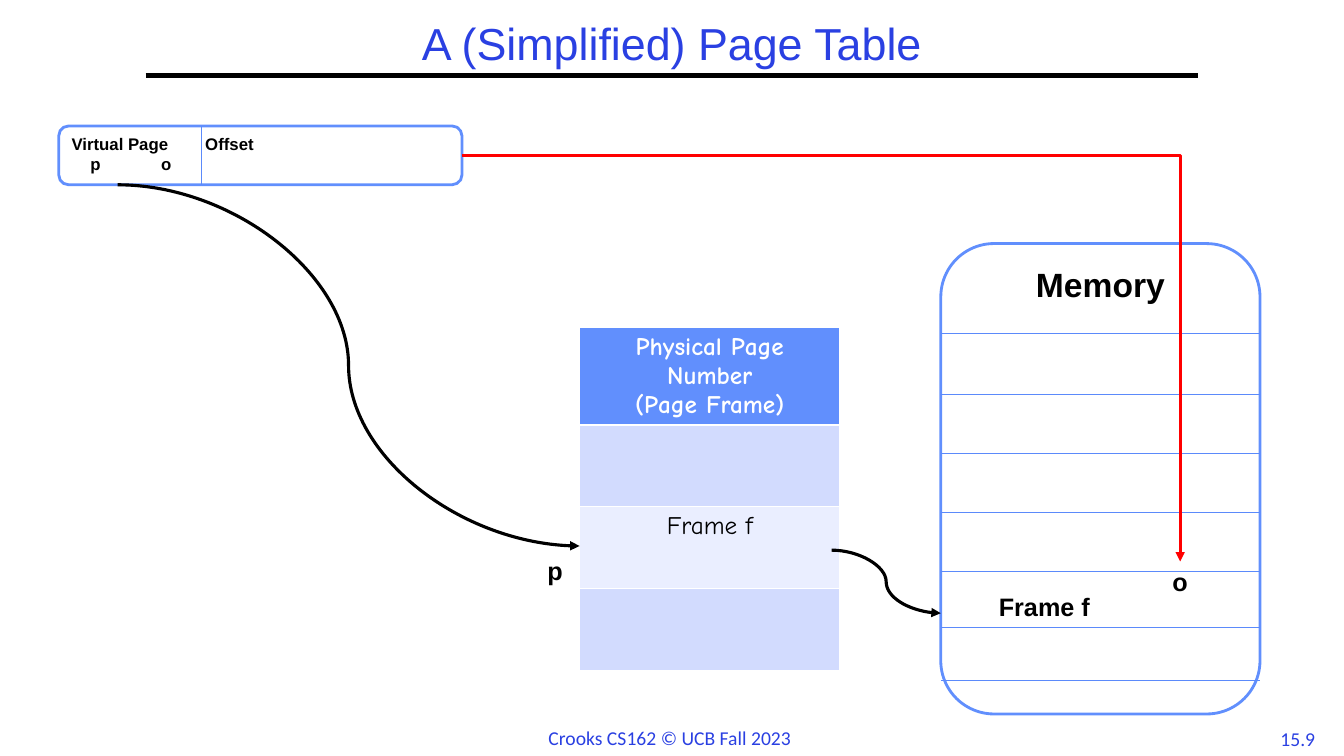
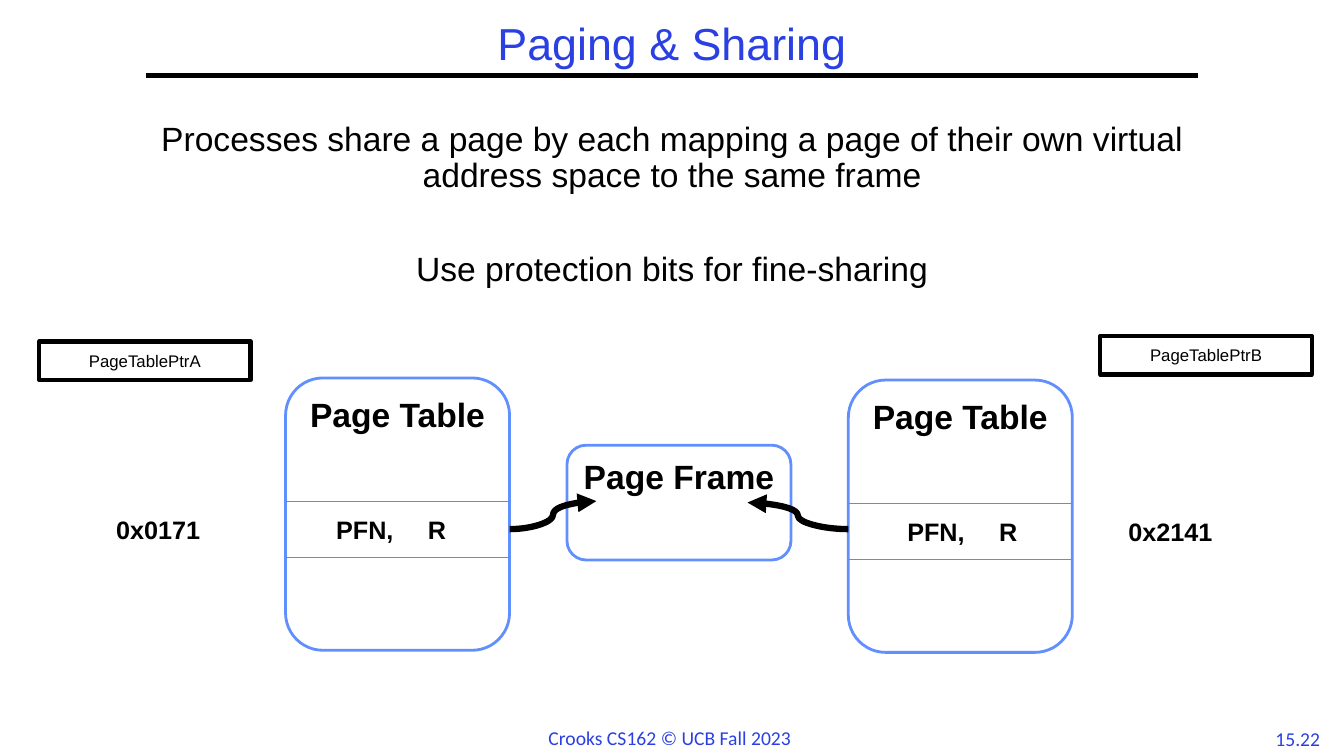
from lxml import etree
from pptx import Presentation
from pptx.dml.color import RGBColor
from pptx.enum import shapes, text
from pptx.oxml.ns import qn
from pptx.util import Pt

BLACK = RGBColor(0x00, 0x00, 0x00)
WHITE = RGBColor(0xFF, 0xFF, 0xFF)
RED = RGBColor(0xFF, 0x00, 0x00)
TITLE_BLUE = RGBColor(0x2A, 0x40, 0xE2)
BOX_BLUE = RGBColor(0x61, 0x8F, 0xFD)
RULE_BLUE = RGBColor(0x5B, 0x8A, 0xFB)
BAND_DARK = RGBColor(0xD2, 0xDB, 0xFE)
BAND_LIGHT = RGBColor(0xEA, 0xEE, 0xFF)

LEFT = text.PP_ALIGN.LEFT
CENTER = text.PP_ALIGN.CENTER
TOP = text.MSO_ANCHOR.TOP
MIDDLE = text.MSO_ANCHOR.MIDDLE
ROUNDED = shapes.MSO_SHAPE.ROUNDED_RECTANGLE
RECT = shapes.MSO_SHAPE.RECTANGLE
STRAIGHT = shapes.MSO_CONNECTOR.STRAIGHT
CURVE = shapes.MSO_CONNECTOR.CURVE
ELBOW = shapes.MSO_CONNECTOR.ELBOW


class Deck:
    def __init__(self):
        self.prs = Presentation()
        self.prs.slide_width, self.prs.slide_height = Pt(960), Pt(540)
        self.s = None

    def slide(self, title, number):
        self.s = self.prs.slides.add_slide(self.prs.slide_layouts[5])
        sp = self.s.shapes.title
        sp.left, sp.top, sp.width, sp.height = Pt(104), Pt(12), Pt(752), Pt(42)
        self.set_text(sp.text_frame, [title], 32, TITLE_BLUE, bold=False, anchor=MIDDLE,
                      spacing=0.9)
        self.line((104, 54), (856, 54), BLACK, 3)
        for left, top, width, label in ((378.5, 515, 200, "Crooks CS162 © UCB Fall 2023"),
                                        (897, 515.5, 60, number)):
            self.label(left, top, width, [label], 14, TITLE_BLUE, bold=False, font="Calibri")

    def set_text(self, tf, lines, size, color=BLACK, bold=True, font="Arial", align=CENTER,
                 anchor=TOP, spacing=None, gap=0, tabs=()):
        tf.word_wrap = True
        tf.auto_size = text.MSO_AUTO_SIZE.NONE
        tf.vertical_anchor = anchor
        for i, line in enumerate(lines):
            p = tf.add_paragraph() if i else tf.paragraphs[0]
            if tabs:
                tab_list = etree.SubElement(p._p.get_or_add_pPr(), qn("a:tabLst"))
                for stop in tabs[i]:
                    etree.SubElement(tab_list, qn("a:tab"), pos=str(Pt(stop)), algn="l")
            p.alignment = align
            p.line_spacing = spacing
            p.space_before = Pt(gap if i else 0)
            r = p.add_run()
            r.text = line
            r.font.name, r.font.size, r.font.bold = font, Pt(size), bold
            r.font.color.rgb = color

    def label(self, left, top, width, lines, size=18, color=BLACK, height=29, **style):
        sp = self.s.shapes.add_textbox(Pt(left), Pt(top), Pt(width), Pt(height))
        self.set_text(sp.text_frame, lines, size, color, **style)

    def box(self, left, top, width, height, lines, size=24, kind=ROUNDED, color=BOX_BLUE,
            weight=2, **style):
        sp = self.s.shapes.add_shape(kind, Pt(left), Pt(top), Pt(width), Pt(height))
        sp.shadow.inherit = False
        sp.fill.solid()
        sp.fill.fore_color.rgb = WHITE
        sp.line.color.rgb = color
        sp.line.width = Pt(weight)
        self.set_text(sp.text_frame, lines, size, **style)

    def line(self, start, end, color=RULE_BLUE, weight=0.75, kind=STRAIGHT, arrow=False):
        cx = self.s.shapes.add_connector(kind, *map(Pt, start + end))
        cx.line.color.rgb = color
        cx.line.width = Pt(weight)
        pr = cx._element.spPr
        if kind == ELBOW:
            pr.find(qn("a:prstGeom")).set("prst", "bentConnector2")
        if arrow:
            etree.SubElement(pr.find(qn("a:ln")), qn("a:tailEnd"), type="triangle")
        etree.SubElement(pr, qn("a:effectLst"))

    def table(self, left, top, width, rows):
        heights = [height for height, *_ in rows]
        frame = self.s.shapes.add_table(len(rows), 1, Pt(left), Pt(top), Pt(width), Pt(sum(heights)))
        table = frame.table
        table.columns[0].width = Pt(width)
        for i, (height, fill, color, lines) in enumerate(rows):
            table.rows[i].height = Pt(height)
            cell = table.cell(i, 0)
            cell.fill.solid()
            cell.fill.fore_color.rgb = fill
            for j, line in enumerate(lines):
                p = cell.text_frame.add_paragraph() if j else cell.text_frame.paragraphs[0]
                p.alignment = CENTER
                r = p.add_run()
                r.text = line
                r.font.name, r.font.size, r.font.bold = "Comic Neue", Pt(18), i == 0
                r.font.color.rgb = color


def page_table_slide(deck):
    deck.slide("A (Simplified) Page Table", "15.9")
    deck.table(414, 234, 186, [
        (68.5, BOX_BLUE, WHITE, ["Physical Page Number", "(Page Frame)"]),
        (58.5, BAND_DARK, BLACK, []),
        (58.5, BAND_LIGHT, BLACK, ["Frame f"]),
        (58.5, BAND_DARK, BLACK, []),
    ])
    deck.box(42, 90, 288, 42, ["Virtual Page\tOffset", "\tp\to"], 12, align=LEFT,
             tabs=[(95.5,), (13.5, 64)])
    deck.line((144, 90), (144, 132))
    deck.box(672, 174, 228, 336, ["Memory"])
    for y in (238.5, 282, 324, 366, 408, 448.5, 486):
        deck.line((672, y), (900, y))
    deck.line((84, 132), (414, 390), BLACK, 2.25, CURVE, True)
    deck.line((594, 393), (672, 438), BLACK, 2.25, CURVE, True)
    deck.label(384, 393, 30, ["p"], align=LEFT)
    deck.label(635, 419, 222, ["Frame f"])
    deck.label(732, 401, 222, ["o"])
    deck.line((330, 111), (843, 401), RED, 2.25, ELBOW, True)


def sharing_slide(deck):
    deck.slide("Paging & Sharing", "15.22")
    deck.label(64, 84, 832, [
        "Processes share a page by each mapping a page of their own virtual "
        "address space to the same frame",
        "Use protection bits for fine-sharing",
    ], 24, height=140, bold=False, spacing=0.9, gap=41)
    deck.box(405, 318, 160, 82, ["Page Frame"])
    sides = [
        (204, 270, 29, 28, 244, "PageTablePtrA", 44, "0x0171"),
        (606, 271.5, 35, 786, 240, "PageTablePtrB", 767, "0x2141"),
    ]
    for left, top, indent, ptr_left, ptr_top, pointer, address_left, address in sides:
        deck.box(left, top, 160, 194.5, ["Page Table"])
        for offset in (88, 128):
            deck.line((left, top + offset), (left + 160, top + offset))
        deck.label(left + indent, top + 94, 110, ["PFN,\tR"], align=LEFT, tabs=[(65.5,)])
        deck.box(ptr_left, ptr_top, 151, 27.5, [pointer], 12, RECT, BLACK, 3,
                 bold=False, anchor=MIDDLE)
        deck.label(address_left, top + 94, 138, [address])
    deck.line((606, 378), (534, 359), BLACK, 4.5, CURVE, True)
    deck.line((364, 378), (426, 358), BLACK, 4.5, CURVE, True)


def main():
    deck = Deck()
    page_table_slide(deck)
    sharing_slide(deck)
    deck.prs.save("out.pptx")


if __name__ == "__main__":
    main()
